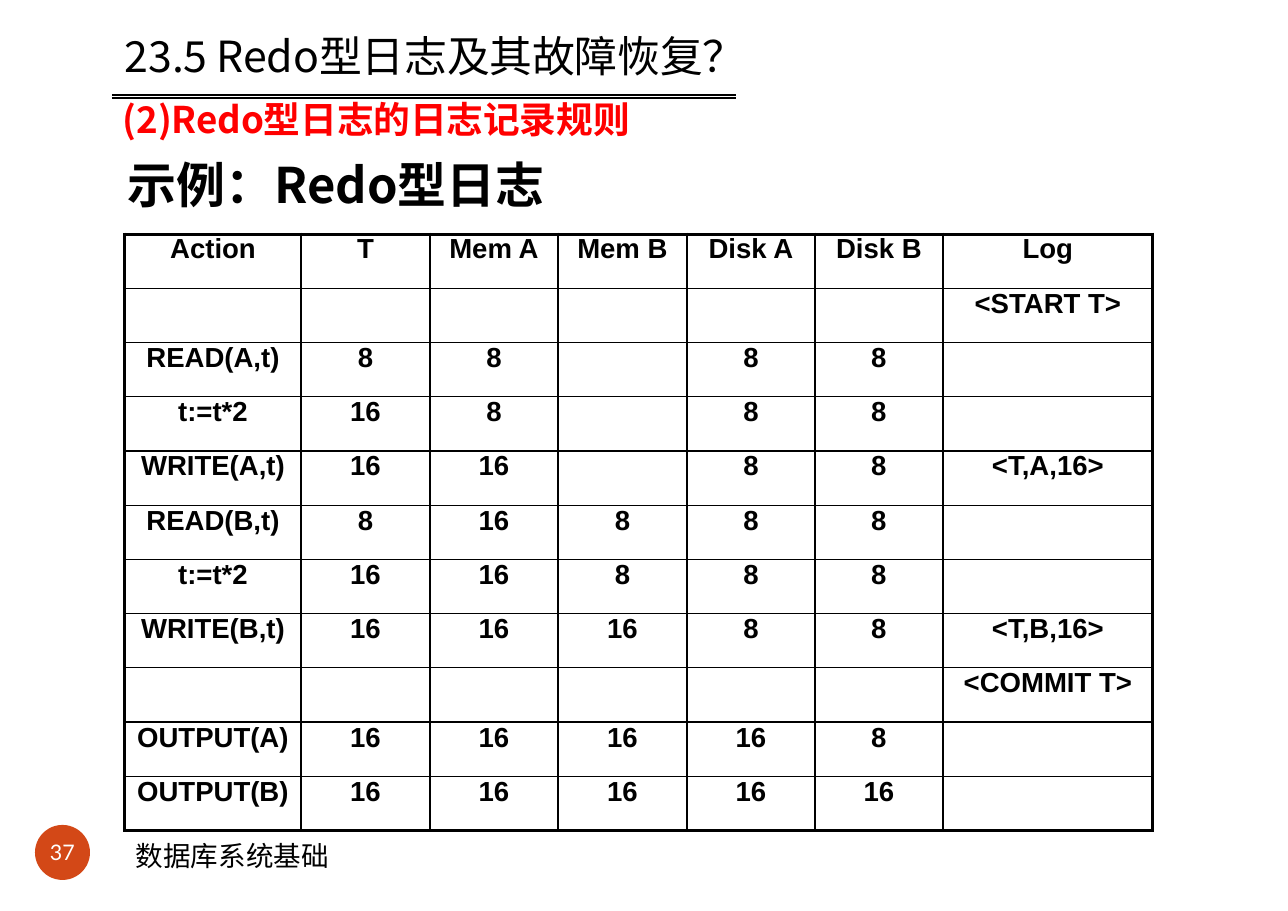
from lxml import etree
from pptx import Presentation
from pptx.dml.color import RGBColor
from pptx.enum.shapes import MSO_CONNECTOR, MSO_SHAPE
from pptx.enum.text import MSO_ANCHOR, PP_ALIGN
from pptx.oxml.ns import qn
from pptx.util import Pt

PX = 8298  # EMU per pixel
CENTER = PP_ALIGN.CENTER
MIDDLE = MSO_ANCHOR.MIDDLE
OVAL = MSO_SHAPE.OVAL
STRAIGHT = MSO_CONNECTOR.STRAIGHT
COLORS = {"black": "000000", "white": "FFFFFF", "red": "FF0000", "badge": "D34817"}
SC, TC = "Noto Sans CJK SC", "Noto Sans CJK TC"


def rgb(name):
    return RGBColor.from_string(COLORS[name])


def add_run(paragraph, text, size, latin, color="black", bold=False, east_asian=SC, spacing=0):
    """Add a styled run; spacing is in hundredths of a point."""
    run = paragraph.add_run()
    run.text = text
    run.font.size = Pt(size)
    run.font.bold = bold
    run.font.color.rgb = rgb(color)
    run.font.name = latin
    properties = run.font._element
    properties.set("spc", str(spacing))
    etree.SubElement(properties, qn("a:ea")).set("typeface", east_asian)


prs = Presentation()
prs.slide_width, prs.slide_height = 1288 * PX, 911 * PX
slide = prs.slides.add_slide(prs.slide_layouts[6])
shapes = slide.shapes

# Page number and footer
badge = shapes.add_shape(OVAL, 35 * PX, 825 * PX, 55 * PX, 55 * PX)
badge.shadow.inherit = False
badge.fill.solid()
badge.fill.fore_color.rgb = rgb("badge")
badge.line.fill.background()
page_number = badge.text_frame
page_number.margin_left = page_number.margin_right = 0
page_number.margin_top = page_number.margin_bottom = 0
page_number.word_wrap = False
page_number.vertical_anchor = MIDDLE
page_number.paragraphs[0].alignment = CENTER
add_run(page_number.paragraphs[0], "37", 14, "Lato", "white")

footer = shapes.add_textbox(125 * PX, 837 * PX, 281 * PX, 44 * PX).text_frame
footer.word_wrap = True
footer.paragraphs[0].line_spacing = 0.9
add_run(footer.paragraphs[0], "数据库系统基础", 18, "Calibri")

# Title, subtitle and example heading
title = shapes.add_textbox(125 * PX, 35 * PX, 1040 * PX, 52 * PX).text_frame
headings = shapes.add_textbox(122 * PX, 102 * PX, 824 * PX, 126 * PX).text_frame
for frame in (title, headings):
    frame.word_wrap = True
    frame.margin_left = frame.margin_right = frame.margin_top = frame.margin_bottom = 0
subtitle, example = headings.paragraphs[0], headings.add_paragraph()
for paragraph, indent in ((title.paragraphs[0], 0), (subtitle, 1), (example, 6)):
    paragraph.line_spacing = 0.9
    paragraph._p.get_or_add_pPr().set("marL", str(indent * PX))
example.space_before = Pt(13)
add_run(title.paragraphs[0], "23.5 Redo型日志及其故障恢复？", 28, TC, east_asian=TC, spacing=-10)
add_run(subtitle, "(2)Redo型日志的日志记录规则", 24, TC, "red", True, TC, -10)
add_run(example, "示例：Redo型日志", 32, SC, bold=True, spacing=-10)

# Log table
ROWS = [
    ["Action", "T", "Mem A", "Mem B", "Disk A", "Disk B", "Log"],
    ["", "", "", "", "", "", "<START T>"],
    ["READ(A,t)", "8", "8", "", "8", "8", ""],
    ["t:=t*2", "16", "8", "", "8", "8", ""],
    ["WRITE(A,t)", "16", "16", "", "8", "8", "<T,A,16>"],
    ["READ(B,t)", "8", "16", "8", "8", "8", ""],
    ["t:=t*2", "16", "16", "8", "8", "8", ""],
    ["WRITE(B,t)", "16", "16", "16", "8", "8", "<T,B,16>"],
    ["", "", "", "", "", "", "<COMMIT T>"],
    ["OUTPUT(A)", "16", "16", "16", "16", "8", ""],
    ["OUTPUT(B)", "16", "16", "16", "16", "16", ""],
]
WIDTHS = [176, 129, 128, 129, 128, 128, 210]
last_row, last_column = len(ROWS) - 1, len(WIDTHS) - 1
log_table = shapes.add_table(len(ROWS), len(WIDTHS), 125 * PX, 234 * PX,
                             sum(WIDTHS) * PX, 597 * PX).table
log_table.first_row = log_table.horz_banding = False
for column, width in zip(log_table.columns, WIDTHS):
    column.width = width * PX

for r, values in enumerate(ROWS):
    for c, value in enumerate(values):
        cell = log_table.cell(r, c)
        cell.margin_left = cell.margin_right = cell.margin_top = cell.margin_bottom = 0
        outer_edges = {"L": c == 0, "R": c == last_column, "T": r == 0, "B": r == last_row}
        for side, is_outer in outer_edges.items():
            border = etree.SubElement(cell._tc.get_or_add_tcPr(), qn(f"a:ln{side}"))
            border.set("w", str(Pt(2.25 if is_outer else 1)))
            border_fill = etree.SubElement(border, qn("a:solidFill"))
            etree.SubElement(border_fill, qn("a:srgbClr")).set("val", COLORS["black"])
        cell.fill.background()
        paragraph = cell.text_frame.paragraphs[0]
        paragraph.alignment = CENTER
        if value:
            add_run(paragraph, value, 18, "Arial", bold=True)

# Double rule under the title
for y in (95, 98):
    rule = shapes.add_connector(STRAIGHT, 112 * PX, y * PX, 736 * PX, y * PX)
    rule.line.color.rgb = rgb("black")
    rule.line.width = Pt(1)
    etree.SubElement(rule._element.spPr, qn("a:effectLst"))

prs.save("out.pptx")
